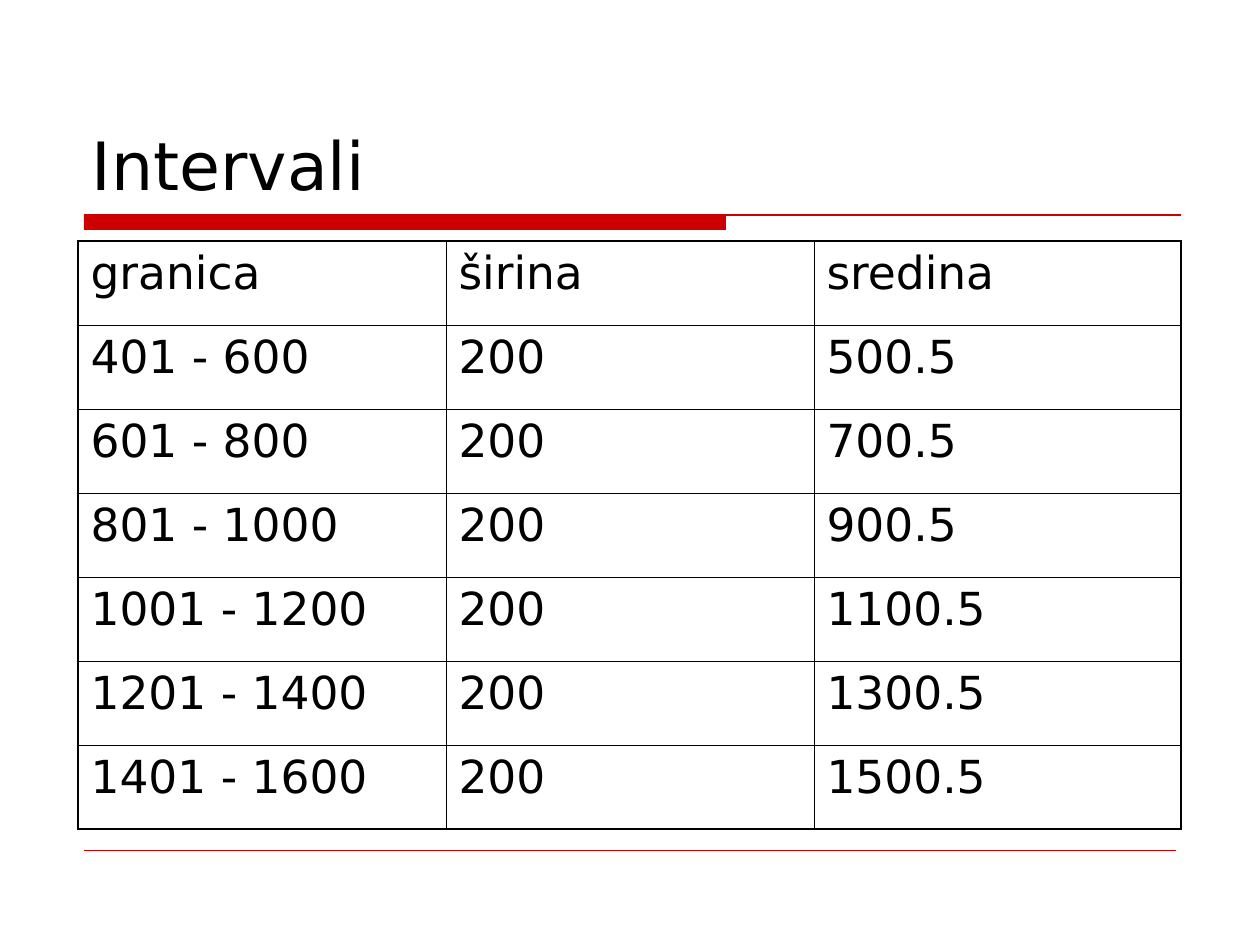
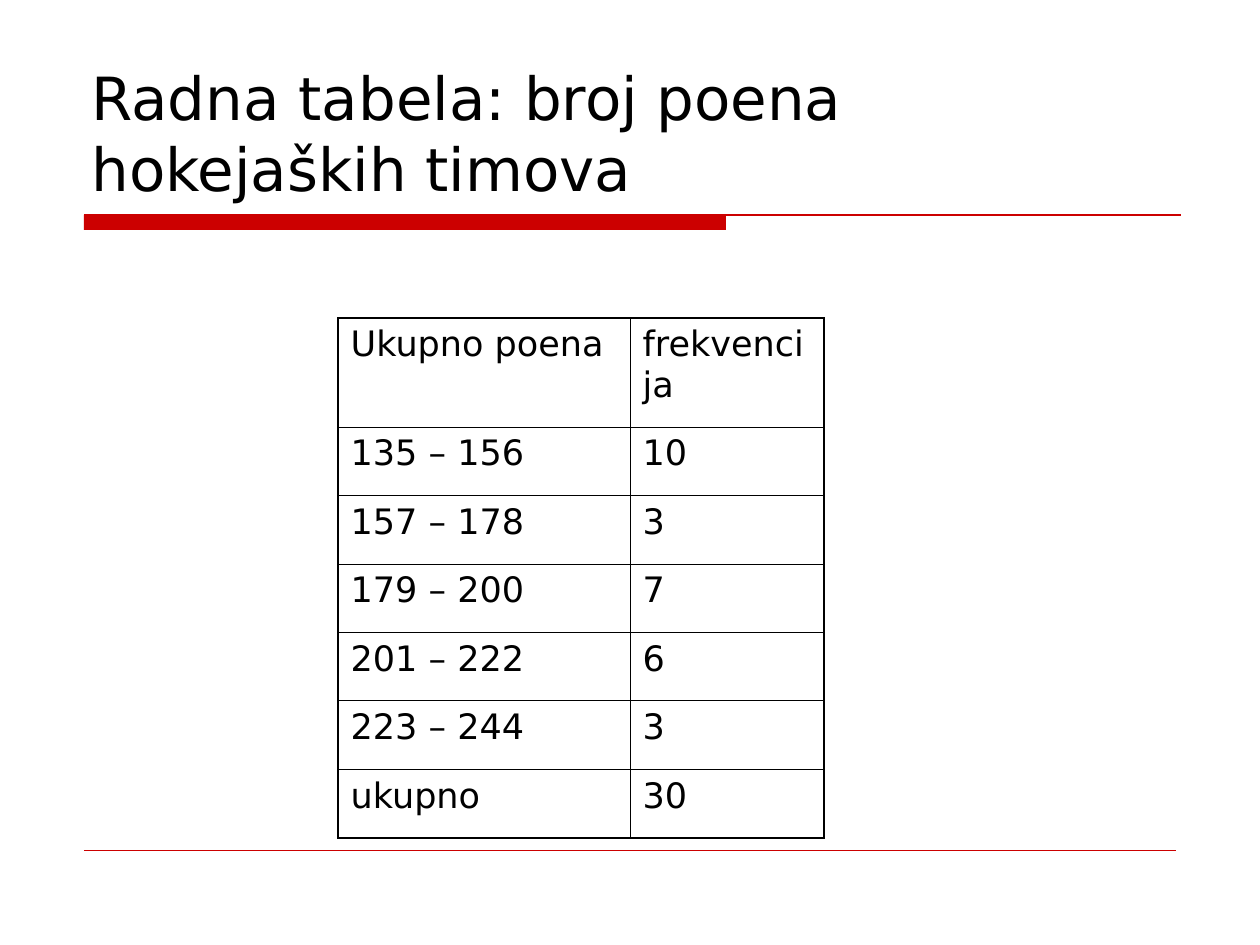
from lxml.etree import SubElement
from pptx import Presentation
from pptx.dml.color import RGBColor
from pptx.enum.shapes import MSO_CONNECTOR, MSO_SHAPE
from pptx.enum.text import MSO_ANCHOR, MSO_AUTO_SIZE, PP_ALIGN
from pptx.oxml.ns import qn
from pptx.util import Pt

SLIDES = [
    {
        "title": "Intervali", "title_size": 38,
        "rows": [
            ("granica", "širina", "sredina"),
            ("401 - 600", "200", "500.5"),
            ("601 - 800", "200", "700.5"),
            ("801 - 1000", "200", "900.5"),
            ("1001 - 1200", "200", "1100.5"),
            ("1201 - 1400", "200", "1300.5"),
            ("1401 - 1600", "200", "1500.5"),
        ],
        "at": (78, 241), "cols": (368, 368, 367),
        "header_height": 84, "height": 588, "size": 26,
    },
    {
        "title": "Radna tabela: broj poena hokejaških timova", "title_size": 34,
        "rows": [
            ("Ukupno poena", "frekvencija"),
            ("135 – 156", "10"),
            ("157 – 178", "3"),
            ("179 – 200", "7"),
            ("201 – 222", "6"),
            ("223 – 244", "3"),
            ("ukupno", "30"),
        ],
        "at": (338, 318), "cols": (292, 194),
        "header_height": 109, "height": 520, "size": 20,
    },
]

COLORS = {"accent": "CC0000", "text": "000000", "border": "000000"}
FONT = "DejaVu Sans"
OUTER, INNER = 1.08, 0.45
TITLE_BOX = (79, 42, 1103, 168)
BAND = (84, 215, 642, 15)
RULES = [((84, 215), (1181, 215), 0.75), ((84, 850), (1176, 850), 0.25)]


def px(n):
    return round(n * 914400 / 126)


def rgb(name):
    return RGBColor.from_string(COLORS[name])


def place(shape, box):
    shape.left, shape.top, shape.width, shape.height = map(px, box)


def add_run(p, text, size):
    r = p.add_run()
    r.text = text
    r.font.name = FONT
    r.font.size = Pt(size)
    r.font.bold = False
    r.font.color.rgb = rgb("text")


def add_bands(s, layout):
    band = s.shapes.add_shape(MSO_SHAPE.RECTANGLE, *map(px, BAND))
    band.shadow.inherit = False
    band.fill.solid()
    band.fill.fore_color.rgb = rgb("accent")
    band.line.fill.background()
    layout.shapes.element.append(band.element)
    for start, end, width in RULES:
        rule = s.shapes.add_connector(MSO_CONNECTOR.STRAIGHT, *map(px, start + end))
        rule.line.color.rgb = rgb("accent")
        rule.line.width = Pt(width)
        SubElement(rule.element.spPr, qn("a:effectLst"))
        layout.shapes.element.append(rule.element)


def add_title(s, text, size):
    title = s.shapes.title
    place(title, TITLE_BOX)
    tf = title.text_frame
    tf.word_wrap = True
    tf.auto_size = MSO_AUTO_SIZE.NONE
    tf.vertical_anchor = MSO_ANCHOR.BOTTOM
    p = tf.paragraphs[0]
    p.alignment = PP_ALIGN.LEFT
    add_run(p, text, size)


def set_borders(cell, edges):
    tcPr = cell._tc.get_or_add_tcPr()
    for i, (side, outer) in enumerate(edges.items()):
        ln = tcPr.makeelement(qn(f"a:ln{side}"), {"w": str(Pt(OUTER if outer else INNER))})
        fill = SubElement(ln, qn("a:solidFill"))
        SubElement(fill, qn("a:srgbClr"), val=COLORS["border"])
        tcPr.insert(i, ln)


def add_data_table(s, spec):
    rows, cols = spec["rows"], spec["cols"]
    x, y = spec["at"]
    box = (x, y, sum(cols), spec["height"])
    table = s.shapes.add_table(len(rows), len(cols), *map(px, box)).table
    table.first_row = table.horz_banding = False
    for col, width in zip(table.columns, cols):
        col.width = px(width)
    body_height = (spec["height"] - spec["header_height"]) / (len(rows) - 1)
    for i, values in enumerate(rows):
        table.rows[i].height = px(body_height if i else spec["header_height"])
        for j, value in enumerate(values):
            cell = table.cell(i, j)
            cell.fill.background()
            p = cell.text_frame.paragraphs[0]
            p.space_before = Pt(spec["size"] / 4)
            add_run(p, value, spec["size"])
            set_borders(cell, {"L": j == 0, "R": j == len(cols) - 1,
                               "T": i == 0, "B": i == len(rows) - 1})


def main():
    prs = Presentation()
    prs.slide_width, prs.slide_height = px(1260), px(945)
    layout = prs.slide_layouts[5]
    for i, spec in enumerate(SLIDES):
        s = prs.slides.add_slide(layout)
        if i == 0:
            add_bands(s, layout)
        add_title(s, spec["title"], spec["title_size"])
        add_data_table(s, spec)
    prs.save("out.pptx")


if __name__ == "__main__":
    main()
